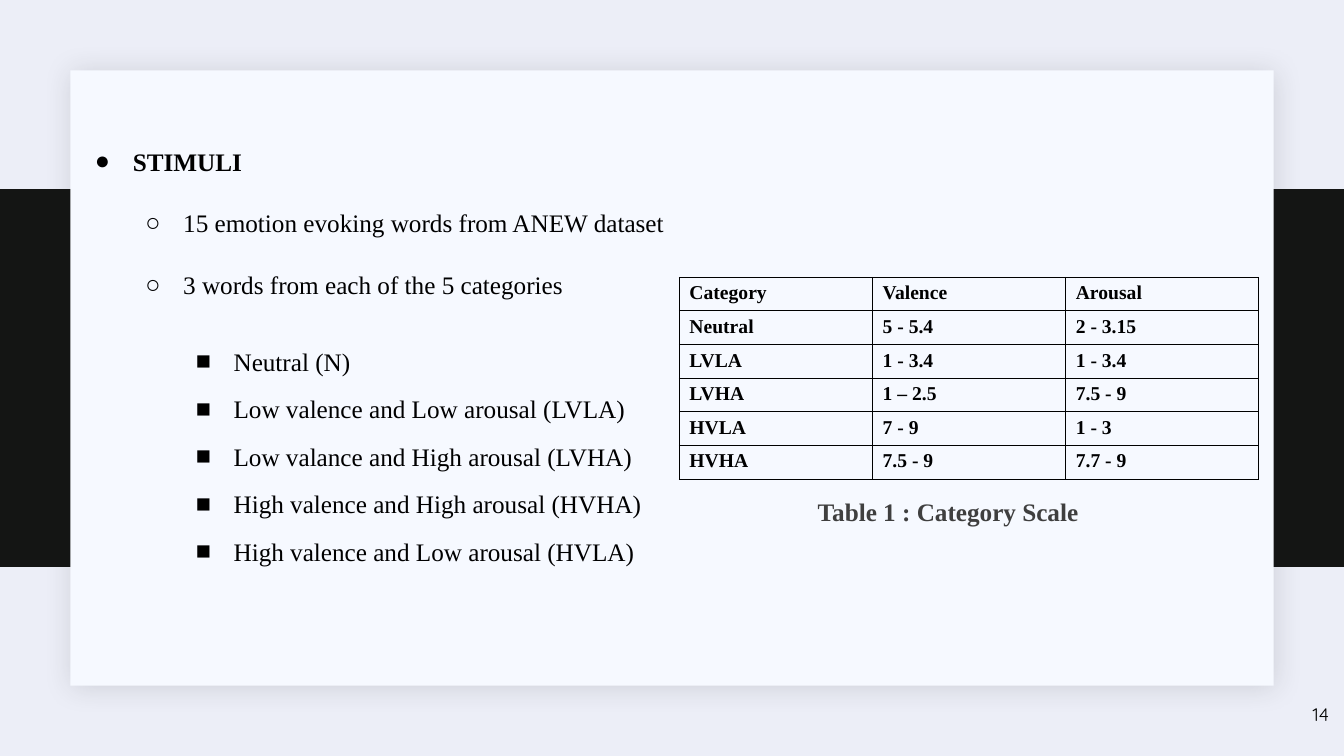
from lxml.etree import SubElement
from pptx import Presentation
from pptx.dml.color import RGBColor
from pptx.enum.shapes import MSO_SHAPE
from pptx.enum.text import PP_ALIGN
from pptx.oxml import parse_xml
from pptx.oxml.ns import nsdecls, qn
from pptx.util import Pt

PX = 9525  # 96 px to the inch
SERIF = "Times New Roman"


def box(left, top, width, height):
    return [length * PX for length in (left, top, width, height)]


def style(font, size, color, name=SERIF, bold=False):
    font.name, font.size, font.bold = name, Pt(size), bold
    font.color.rgb = RGBColor.from_string(color)


deck = Presentation()
deck.slide_width, deck.slide_height = 1280 * PX, 720 * PX
slide = deck.slides.add_slide(deck.slide_layouts[6])
slide.background.fill.solid()
slide.background.fill.fore_color.rgb = RGBColor.from_string("ECEEF7")

# Dark band and the card on top of it
for area, color in (((0, 180, 1280, 360), "141514"), ((67, 67, 1146, 586), "F6F9FF")):
    panel = slide.shapes.add_shape(MSO_SHAPE.RECTANGLE, *box(*area))
    panel.shadow.inherit = False
    panel.fill.solid()
    panel.fill.fore_color.rgb = RGBColor.from_string(color)
    panel.line.fill.background()

# Soft shadow of the card
effects = panel._element.spPr.find(qn("a:effectLst"))
effects.append(parse_xml(
    f'<a:outerShdw {nsdecls("a")} blurRad="{Pt(20)}" dist="{Pt(2)}" dir="2700000" '
    'algn="bl" rotWithShape="0"><a:srgbClr val="1F2125"><a:alpha val="15000"/>'
    '</a:srgbClr></a:outerShdw>'))

# Stimuli outline: level, space before, text
outline = [
    (0, 0, "STIMULI"),
    (1, 22.5, "15 emotion evoking words from ANEW dataset"),
    (1, 22.5, "3 words from each of the 5 categories"),
    (2, 22.5, "Neutral (N)"),
    (2, 1.5, "Low valence and Low arousal (LVLA)"),
    (2, 1.5, "Low valance and High arousal (LVHA)"),
    (2, 1.5, "High valence and High arousal (HVHA)"),
    (2, 1.5, "High valence and Low arousal (HVLA)"),
]
stimuli = slide.shapes.add_textbox(*box(69, 69, 1142, 574)).text_frame
stimuli.word_wrap = True
stimuli.margin_top = 70 * PX
for index, (level, gap, text) in enumerate(outline):
    item = stimuli.add_paragraph() if index else stimuli.paragraphs[0]
    item.text, item.level = text, level
    item.space_before = Pt(gap)
    item.line_spacing = 1.5 if level == 2 else 1.0
    props = item._p.get_or_add_pPr()
    props.set("marL", str(48 * (level + 1) * PX))
    props.set("indent", str(-36 * PX))
    bullet_color = SubElement(props, qn("a:buClr"))
    SubElement(bullet_color, qn("a:srgbClr"), val="000000")
    SubElement(props, qn("a:buFont"), typeface=SERIF)
    SubElement(props, qn("a:buChar"), char="●○■"[level])
    style(item.font, 18, "000000", bold=level == 0)

# Category scale table
scale = [
    ("Category", "Valence", "Arousal"),
    ("Neutral", "5 - 5.4", "2 - 3.15"),
    ("LVLA", "1 - 3.4", "1 - 3.4"),
    ("LVHA", "1 – 2.5", "7.5 - 9"),
    ("HVLA", "7 - 9", "1 - 3"),
    ("HVHA", "7.5 - 9", "7.7 - 9"),
]
table = slide.shapes.add_table(6, 3, *box(647, 264, 552, 192)).table
table.first_row = table.horz_banding = False
for row, values in enumerate(scale):
    for column, value in enumerate(values):
        cell = table.cell(row, column)
        cell.text = value
        style(cell.text_frame.paragraphs[0].font, 14, "000000", bold=True)
        cell.fill.background()
        for position, side in enumerate(("lnL", "lnR", "lnT", "lnB")):
            cell._tc.get_or_add_tcPr().insert(position, parse_xml(
                f'<a:{side} {nsdecls("a")} w="{Pt(0.75)}"><a:solidFill>'
                f'<a:srgbClr val="000000"/></a:solidFill></a:{side}>'))

# Table caption and page number
labels = [
    ((583, 468, 640, 38), "Table 1 : Category Scale", PP_ALIGN.CENTER, 18, "3F3F3F", SERIF, True),
    ((1198, 665, 77, 55), "14", PP_ALIGN.RIGHT, 13, "000000", "Quicksand", False),
]
for area, text, align, size, color, name, bold in labels:
    label = slide.shapes.add_textbox(*box(*area)).text_frame
    label.word_wrap = True
    line = label.paragraphs[0]
    line.text, line.alignment = text, align
    style(line.font, size, color, name, bold)

deck.save("out.pptx")
